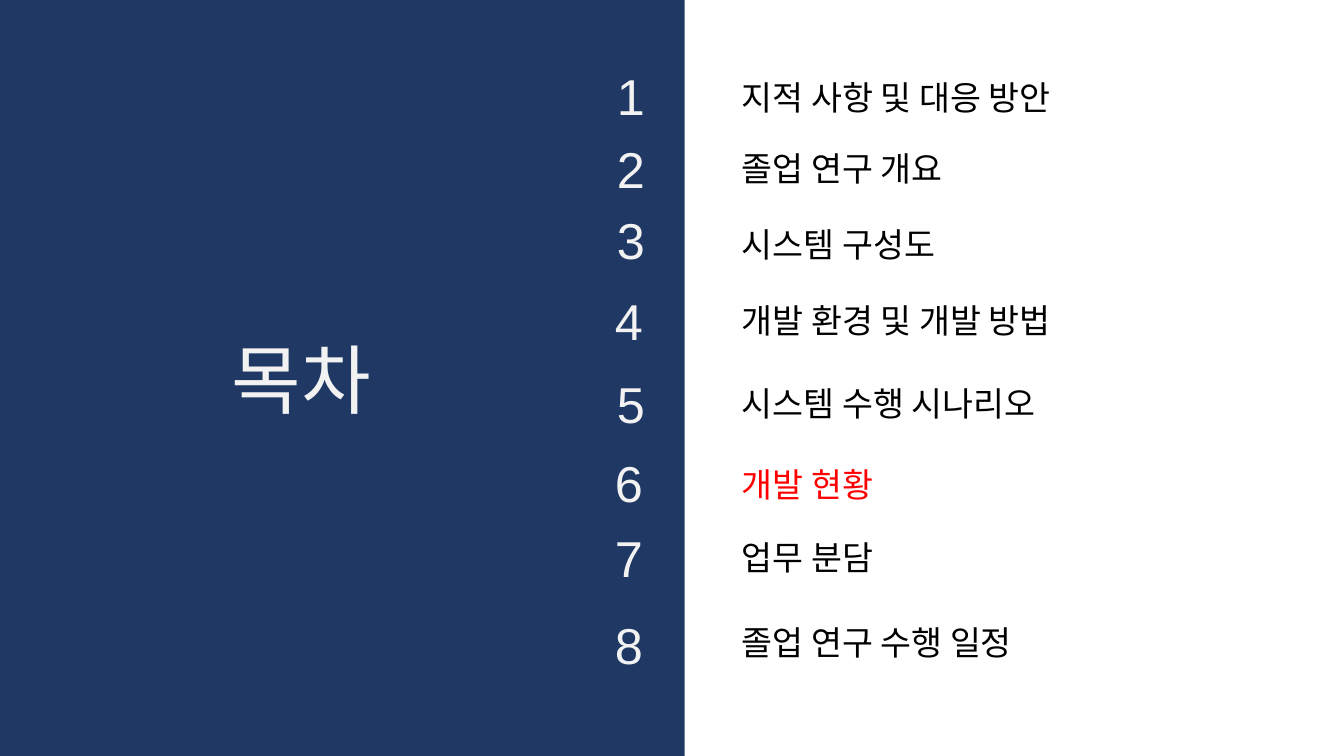
"""Build a table-of-contents slide with a navy panel and eight numbered entries."""
from pptx import Presentation
from pptx.dml.color import RGBColor
from pptx.enum import shapes, text
from pptx.util import Inches, Pt

NAVY = RGBColor(0x20, 0x38, 0x64)
PALE = RGBColor(0xF2, 0xF2, 0xF2)
BLACK = RGBColor(0, 0, 0)
RED = RGBColor(0xFF, 0, 0)


def add_panel(left, top, width, height):
    panel = page.shapes.add_shape(
        shapes.MSO_SHAPE.RECTANGLE, Inches(left), Inches(top), Inches(width), Inches(height))
    panel.shadow.inherit = False
    panel.fill.solid()
    panel.fill.fore_color.rgb = NAVY
    panel.line.fill.background()
    return panel


def write(box, words, size, color):
    frame = box.text_frame
    frame_format = {
        "word_wrap": True,
        "auto_size": text.MSO_AUTO_SIZE.NONE,
        "vertical_anchor": text.MSO_ANCHOR.TOP,
    }
    for name, value in frame_format.items():
        setattr(frame, name, value)
    para = frame.paragraphs[0]
    para.alignment = text.PP_ALIGN.LEFT
    span = para.add_run()
    span.text = words
    for name, value in {"name": "Arial", "size": Pt(size)}.items():
        setattr(span.font, name, value)
    span.font.color.rgb = color


deck = Presentation()
deck.slide_width = Inches(13.33)
deck.slide_height = Inches(7.5)
page = deck.slides.add_slide(deck.slide_layouts[5])

title = page.shapes.title
side_panel = add_panel(0, 0, 6.79, 7.5)
title.element.addprevious(side_panel.element)

title_place = {"left": 2.2, "top": 3.25, "width": 1.72, "height": 1.01}
for name, value in title_place.items():
    setattr(title, name, Inches(value))
title.fill.solid()
title.fill.fore_color.rgb = NAVY
write(title, "목차", 54, PALE)

# (label, number left, number top, label top, label colour)
entries = [
    ("지적 사항 및 대응 방안", 6.02, 0.6, 0.71, BLACK),
    ("졸업 연구 개요", 6.02, 1.32, 1.42, BLACK),
    ("시스템 구성도", 6.02, 2.03, 2.17, BLACK),
    ("개발 환경 및 개발 방법", 6, 2.83, 2.93, BLACK),
    ("시스템 수행 시나리오", 6.02, 3.65, 3.75, BLACK),
    ("개발 현황", 6, 4.44, 4.55, RED),
    ("업무 분담", 6, 5.18, 5.28, BLACK),
    ("졸업 연구 수행 일정", 6, 6.04, 6.12, BLACK),
]
for number, (label, number_left, number_top, label_top, color) in enumerate(entries, 1):
    write(add_panel(number_left, number_top, 0.48, 0.71), str(number), 36, PALE)
    label_box = page.shapes.add_textbox(
        Inches(7.26), Inches(label_top), Inches(3.71), Inches(0.5))
    write(label_box, label, 24, color)

deck.save("out.pptx")
